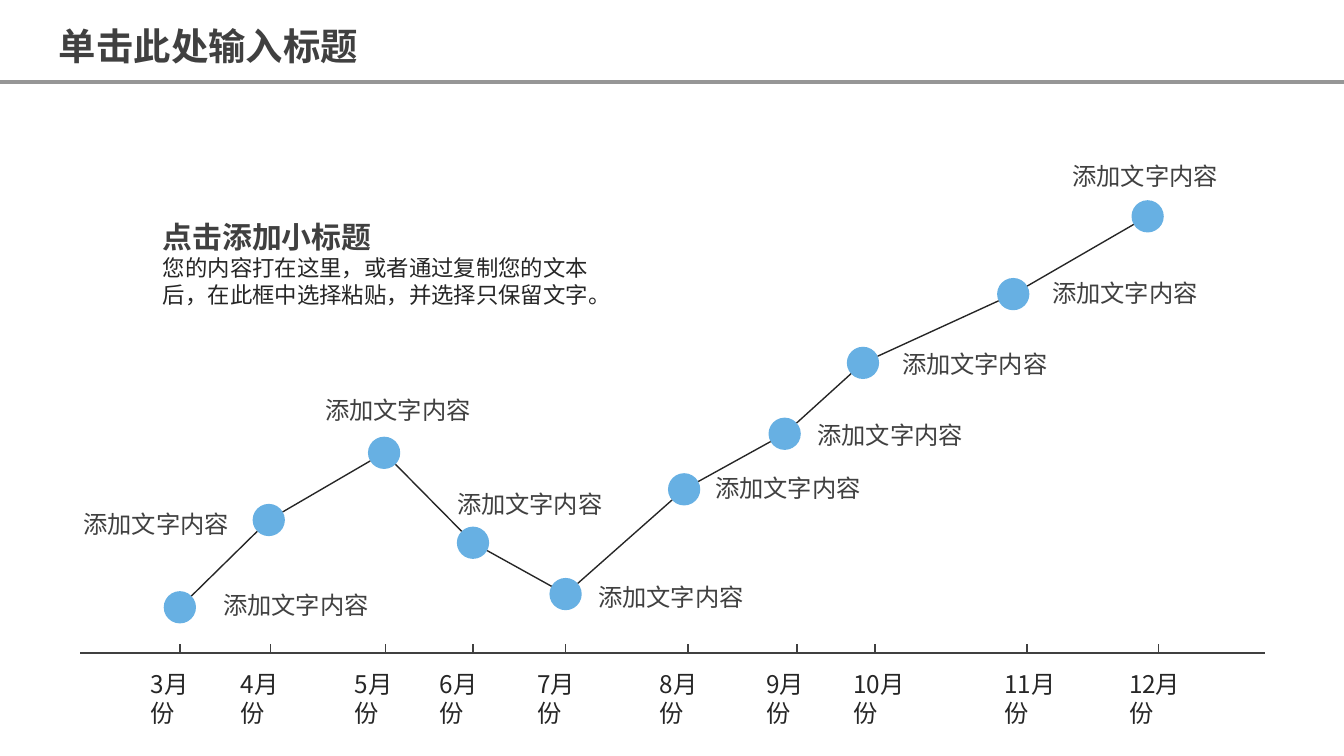
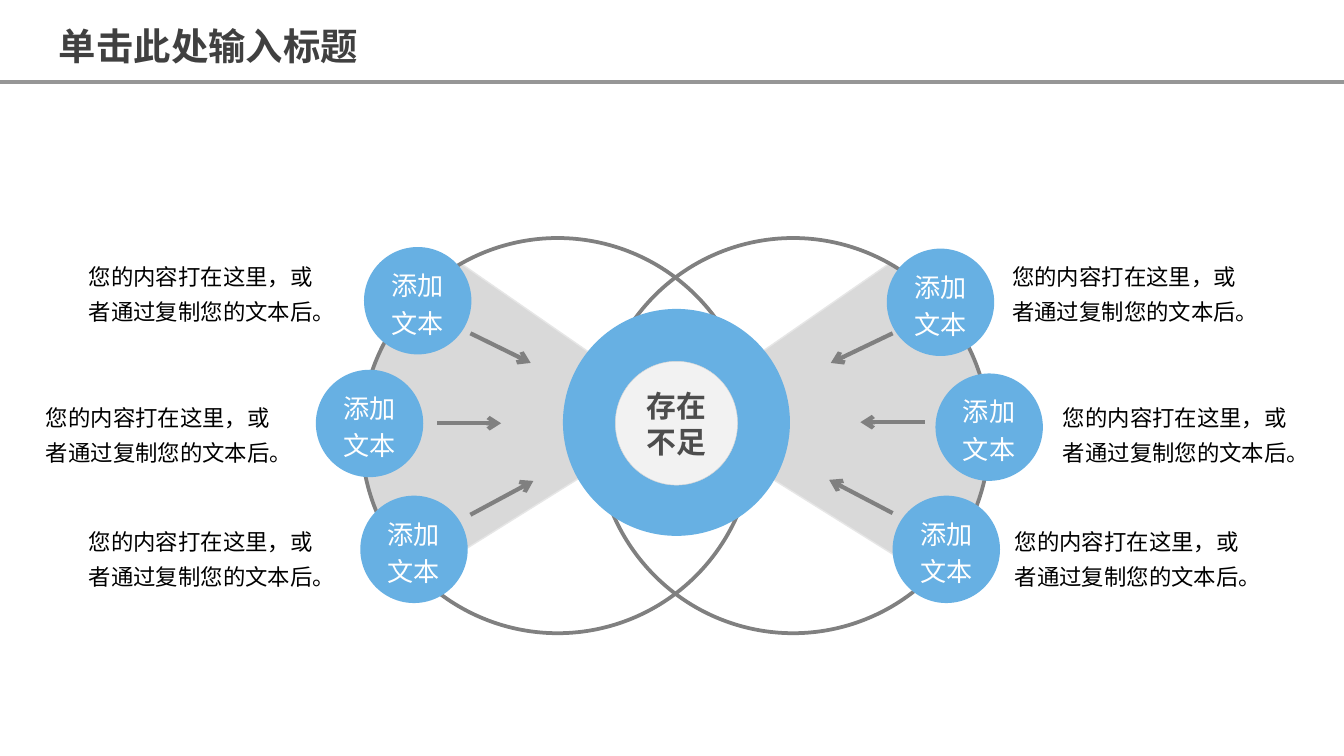
from dataclasses import dataclass
from math import hypot

from lxml import etree
from pptx import Presentation
from pptx.dml.color import RGBColor
from pptx.enum import shapes, text
from pptx.oxml import ns
from pptx.util import Cm, Pt


@dataclass(frozen=True)
class Theme:
    blue: str = "67B0E3"
    ink: str = "262626"
    dark: str = "404040"
    core_ink: str = "4D4D4D"
    grey: str = "808080"
    rule: str = "969696"
    wing: str = "D9D9D9"
    wing_edge: str = "E6E6E6"
    core: str = "F2F2F2"
    core_edge: str = "D7D7D7"
    white: str = "FFFFFF"
    black: str = "000000"
    cjk: str = "Noto Sans CJK SC"
    title: int = 20
    heading: int = 16
    disc: int = 14
    label: int = 13
    body: int = 12


T = Theme()

# All positions are in centimetres.
WIDTH, HEIGHT = 25.4, 14.29
RULE_Y = 1.55
TITLE = "单击此处输入标题"

HEADING = "点击添加小标题"
BODY = "您的内容打在这里，或者通过复制您的文本后，在此框中选择粘贴，并选择只保留文字。"
POINT_LABEL = "添加文字内容"
DOT = 0.61
AXIS_Y, AXIS_LEFT, AXIS_RIGHT, TICK = 12.34, 1.52, 23.9, 0.16
# month, tick x, month label left, dot centre, label corner
MONTHS = [
    (3, 3.4, 2.67, (3.4, 11.48), (4.04, 11.05)),
    (4, 5.11, 4.37, (5.08, 9.83), (1.4, 9.53)),
    (5, 7.29, 6.53, (7.26, 8.56), (5.97, 7.37)),
    (6, 8.94, 8.13, (8.94, 10.26), (8.46, 9.14)),
    (7, 10.69, 9.98, (10.69, 11.23), (11.13, 10.9)),
    (8, 13, 12.29, (12.93, 9.25), (13.34, 8.84)),
    (9, 15.06, 14.3, (14.83, 8.2), (15.27, 7.85)),
    (10, 16.54, 15.95, (16.31, 6.86), (16.87, 6.5)),
    (11, 19.41, 18.8, (19.15, 5.56), (19.71, 5.16)),
    (12, 21.89, 21.16, (21.69, 4.09), (20.09, 2.95)),
]

CORE_TEXT = "存在不足"
DISC_TEXT = "添加文本"
NOTE_TEXT = "您的内容打在这里，或者通过复制您的文本后。"
DISC = 2.03
# disc corner, note corner, arrow start, arrow end
CAUSES = [
    ((6.88, 4.67), (1.5, 4.72), (8.89, 6.3), (10.03, 6.86)),
    ((5.97, 6.99), (0.69, 7.39), (8.26, 8), (9.47, 8)),
    ((6.81, 9.37), (1.5, 9.73), (8.89, 9.73), (10.08, 9.09)),
    ((16.76, 4.7), (18.95, 4.72), (16.87, 6.3), (15.7, 6.86)),
    ((17.68, 7.06), (19.91, 7.39), (17.48, 7.98), (16.26, 7.98)),
    ((16.87, 9.37), (19, 9.73), (16.87, 9.7), (15.67, 9.07)),
]
MIRROR_X = 12.76
WING_TIP = (12.67, 7.85)
WING_CURVES = [
    [(17.55, 10.9), (18.77, 9.45), (18.64, 8.92), (18.69, 8.18)],
    [(18.69, 8.18), (18.67, 7.54), (18.52, 6.88), (18.16, 6.32)],
    [(18.16, 6.32), (17.58, 5.54), (17.73, 5.59), (16.81, 4.98)],
]


def rgb(color):
    return RGBColor.from_string(color)


def paint(shape, fill=None, line=None, weight=0.75):
    shape.shadow.inherit = False
    if fill:
        shape.fill.solid()
        shape.fill.fore_color.rgb = rgb(fill)
    else:
        shape.fill.background()
    if line:
        shape.line.color.rgb = rgb(line)
        shape.line.width = Pt(weight)
    else:
        shape.line.fill.background()


def style(p, size, color, font=T.cjk, bold=False, spacing=None,
          align=text.PP_ALIGN.LEFT):
    p.alignment = align
    if spacing:
        p.line_spacing = spacing
    f = p.font
    f.size, f.bold, f.name = Pt(size), bold, font
    f.color.rgb = rgb(color)
    etree.SubElement(f._element, ns.qn("a:ea"), typeface=T.cjk)


def set_insets(tf):
    tf.margin_left = tf.margin_right = Cm(0.18)
    tf.margin_top = tf.margin_bottom = Cm(0.1)
    tf.word_wrap = True


def add_text(s, words, corner, size, *args, **kwargs):
    box = s.shapes.add_textbox(*map(Cm, corner + size))
    tf = box.text_frame
    set_insets(tf)
    tf.auto_size = text.MSO_AUTO_SIZE.SHAPE_TO_FIT_TEXT
    tf.text = words
    style(tf.paragraphs[0], *args, **kwargs)
    return tf


def add_line(parent, start, end, color, weight=0.75, arrow=False):
    line = parent.shapes.add_connector(
        shapes.MSO_CONNECTOR.STRAIGHT, *map(Cm, start + end))
    line.line.color.rgb = rgb(color)
    line.line.width = Pt(weight)
    if arrow:
        etree.SubElement(line.line._get_or_add_ln(), ns.qn("a:tailEnd"),
                         type="arrow")
    etree.SubElement(line._element.spPr, ns.qn("a:effectLst"))
    return line


def add_ellipse(parent, corner, size, words=None, font=None, **look):
    """Draw an ellipse; font holds the style of its words, look its paint."""
    sp = parent.shapes.add_shape(shapes.MSO_SHAPE.OVAL,
                                 *map(Cm, corner + size))
    paint(sp, **look)
    if words:
        tf = sp.text_frame
        set_insets(tf)
        tf.vertical_anchor = text.MSO_ANCHOR.MIDDLE
        tf.text = words
        style(tf.paragraphs[0], align=text.PP_ALIGN.CENTER, **font)


def add_titled_slide(prs):
    s = prs.slides.add_slide(prs.slide_layouts[5])
    title = s.shapes.title
    title.left, title.top = Cm(0.86), Cm(0.15)
    title.width, title.height = Cm(6.63), Cm(1.27)
    tf = title.text_frame
    tf.text = TITLE
    tf.auto_size = text.MSO_AUTO_SIZE.NONE
    tf.vertical_anchor = text.MSO_ANCHOR.TOP
    style(tf.paragraphs[0], T.title, T.dark, bold=True, spacing=1.2)
    return s


def add_layout_rule(s):
    """Place the line under the title on the layout that slides share."""
    line = add_line(s, (0, RULE_Y), (WIDTH, RULE_Y), T.rule, 1.75)
    s.slide_layout.shapes._spTree.append(line._element)


def join_dots(s, a, b):
    """Link two dots from edge to edge."""
    dx, dy = b[0] - a[0], b[1] - a[1]
    k = DOT / 2 / hypot(dx, dy)
    add_line(s, (a[0] + k * dx, a[1] + k * dy),
             (b[0] - k * dx, b[1] - k * dy), T.ink)


def build_timeline(s):
    axis = s.shapes.add_group_shape()
    add_line(axis, (AXIS_LEFT, AXIS_Y), (AXIS_RIGHT, AXIS_Y), T.dark)
    for month, tick_x, month_x, (x, y), label in MONTHS:
        add_line(axis, (tick_x, AXIS_Y), (tick_x, AXIS_Y - TICK), T.dark)
        add_ellipse(s, (x - DOT / 2, y - DOT / 2), (DOT, DOT), fill=T.blue)
        add_text(s, f"{month}月份", (month_x, 12.55),
                 (1.52 if month < 10 else 1.78, 0.76), T.label, T.ink)
        add_text(s, POINT_LABEL, label, (3.28, 0.76), T.label, T.dark,
                 font="Calibri")
    dots = [row[3] for row in MONTHS]
    for a, b in zip(dots, dots[1:]):
        join_dots(s, a, b)
    tf = add_text(s, HEADING, (2.9, 3.35), (8.79, 2.59), T.heading, T.dark,
                  bold=True, spacing=2)
    p = tf.add_paragraph()
    p.text = BODY
    style(p, T.body, T.ink)


def bezier(points, steps=16):
    for i in range(1, steps + 1):
        t = i / steps
        weights = ((1 - t) ** 3, 3 * t * (1 - t) ** 2,
                   3 * t * t * (1 - t), t ** 3)
        yield tuple(sum(w * pt[axis] for w, pt in zip(weights, points))
                    for axis in (0, 1))


def add_wing(s, mirrored):
    outline = [WING_TIP, WING_CURVES[0][0]]
    for curve in WING_CURVES:
        outline.extend(bezier(curve))
    if mirrored:
        outline = [(2 * MIRROR_X - x, y) for x, y in outline]
    pts = [(Cm(x), Cm(y)) for x, y in outline]
    builder = s.shapes.build_freeform(*pts[0])
    builder.add_line_segments(pts[1:], close=True)
    paint(builder.convert_to_shape(), T.wing, T.wing_edge)


def build_causes(s):
    for mirrored in (False, True):
        add_wing(s, mirrored)
    for left in (6.83, 11.28):
        add_ellipse(s, (left, 4.5), (7.42, 7.47), line=T.grey, weight=2)
    hub = s.shapes.add_group_shape()
    add_ellipse(hub, (10.64, 5.84), (4.29, 4.29), fill=T.blue)
    add_ellipse(hub, (11.63, 6.83), (2.31, 2.34), CORE_TEXT,
                dict(size=T.heading, color=T.core_ink, font="Arial Narrow",
                     bold=True),
                fill=T.core, line=T.core_edge, weight=0.25)
    for disc, note, start, end in CAUSES:
        add_line(s, start, end, T.grey, 2.25, arrow=True)
        add_ellipse(s, disc, (DISC, DISC), DISC_TEXT,
                    dict(size=T.disc, color=T.white, font="Arial",
                         spacing=1.2),
                    fill=T.blue)
        add_text(s, NOTE_TEXT, note, (4.8, 1.52), T.body, T.black,
                 spacing=1.3)


def main():
    prs = Presentation()
    prs.slide_width, prs.slide_height = Cm(WIDTH), Cm(HEIGHT)
    timeline = add_titled_slide(prs)
    add_layout_rule(timeline)
    build_timeline(timeline)
    build_causes(add_titled_slide(prs))
    prs.save("out.pptx")


if __name__ == "__main__":
    main()
